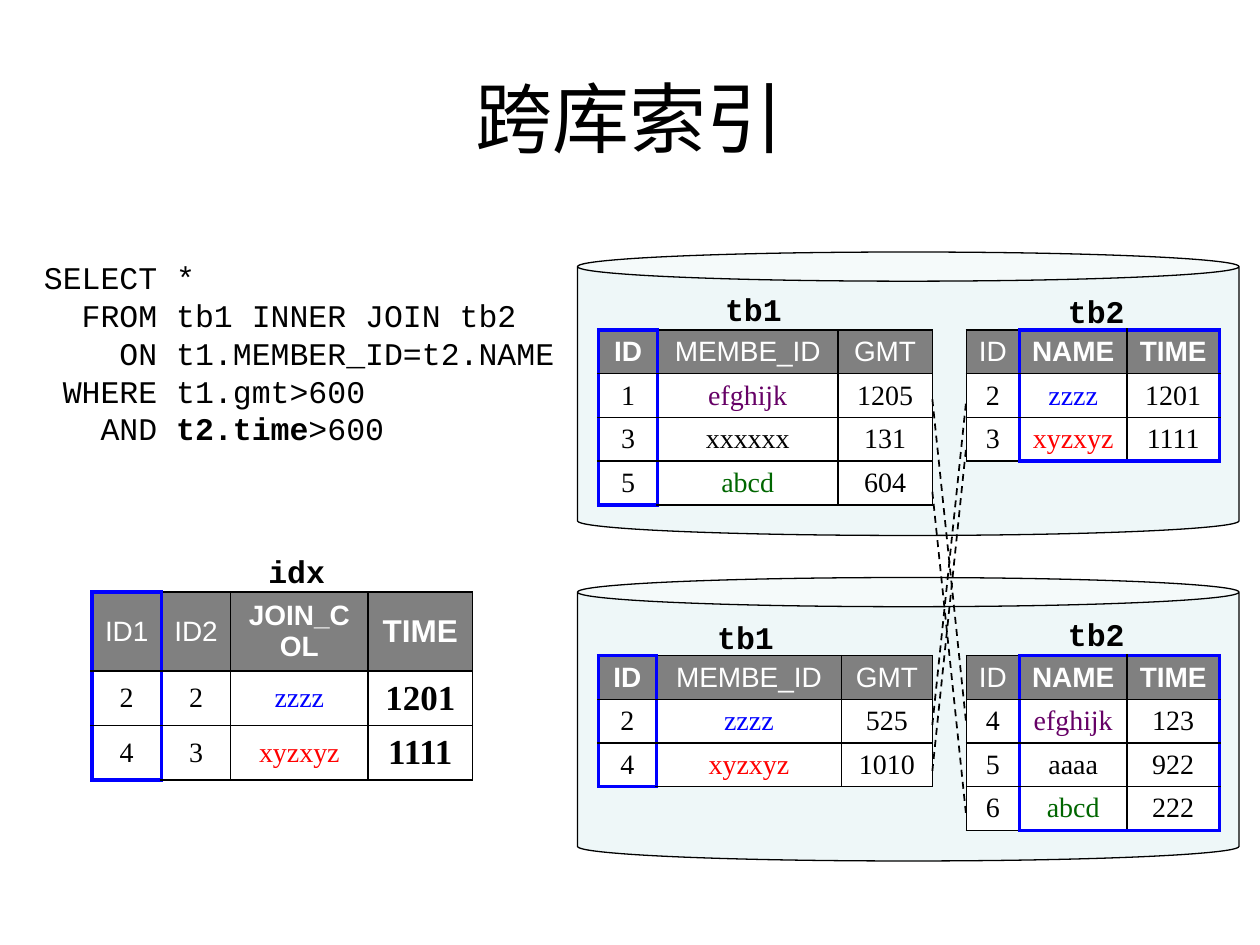
from lxml import etree
from pptx import Presentation
from pptx.dml.color import RGBColor
from pptx.enum import dml, shapes, text
from pptx.oxml import ns
from pptx.util import Pt

COLORS = {
    "black": "000000", "white": "FFFFFF", "header": "808080",
    "blue": "0000FF", "red": "FF0000", "purple": "660066",
    "green": "006600", "database": "BBE0E3",
}
# Matching join keys share a colour in every table
KEY_COLORS = {"zzzz": "blue", "xyzxyz": "red", "efghijk": "purple", "abcd": "green"}
ROW_HEIGHT = 25
LINK_PITCH = 26.4
TABLE_OFFSET = 44.6
TB1_LEFT, TB1_RIGHT, TB2_LEFT = 342, 532.8, 552.2


def rgb(name):
    return RGBColor.from_string(COLORS[name])


def style_run(run, size, font_name, color="black", bold=False):
    run.font.size = Pt(size)
    run.font.name = font_name
    run.font.bold = bold
    run.font.color.rgb = rgb(color)


def add_code_box(slide, box, content, bold=False, align=text.PP_ALIGN.LEFT):
    text_frame = slide.shapes.add_textbox(*map(Pt, box)).text_frame
    text_frame.word_wrap = True
    paragraph = text_frame.paragraphs[0]
    paragraph.text = content
    paragraph.alignment = align
    paragraph.line_spacing = Pt(21.6)
    paragraph.space_before = Pt(2)
    for run in paragraph.runs:
        style_run(run, 18, "Courier New", bold=bold)
    return paragraph


def add_label(slide, box, content):
    add_code_box(slide, box, content, True, text.PP_ALIGN.CENTER)


def add_border(cell, side, highlighted):
    width, color = (2.25, "blue") if highlighted else (1, "black")
    properties = cell._tc.get_or_add_tcPr()
    line = etree.SubElement(properties, ns.qn(f"a:ln{side}"), w=str(int(Pt(width))))
    fill = etree.SubElement(line, ns.qn("a:solidFill"))
    etree.SubElement(fill, ns.qn("a:srgbClr"), val=COLORS[color])


def add_grid(slide, left, top, widths, heights, rows, key, bold_headers, big_column=None):
    """Add a table; key is the (first, end) column range framed in blue."""
    table = slide.shapes.add_table(
        len(rows), len(widths), Pt(left), Pt(top), Pt(sum(widths)), Pt(sum(heights))
    ).table
    for column, width in zip(table.columns, widths):
        column.width = Pt(width)
    for row, height in zip(table.rows, heights):
        row.height = Pt(height)

    for r, values in enumerate(rows):
        for c, value in enumerate(values):
            cell = table.cell(r, c)
            in_key = key[0] <= c < key[1]
            add_border(cell, "L", c in key)
            add_border(cell, "R", c + 1 in key)
            add_border(cell, "T", in_key and r == 0)
            add_border(cell, "B", in_key and r == len(rows) - 1)
            cell.fill.solid()
            cell.fill.fore_color.rgb = rgb("white" if r else "header")
            cell.margin_left = cell.margin_right = Pt(5)
            cell.margin_top = cell.margin_bottom = Pt(2)
            cell.vertical_anchor = text.MSO_ANCHOR.MIDDLE
            paragraph = cell.text_frame.paragraphs[0]
            paragraph.text = value
            paragraph.alignment = text.PP_ALIGN.CENTER
            big = c == big_column
            if r == 0:
                style_run(paragraph.runs[0], 18 if big else 16, "Arial", "white",
                          value in bold_headers)
            else:
                style_run(paragraph.runs[0], 20 if big else 16, "Times New Roman",
                          KEY_COLORS.get(value, "black"), big)


def add_database(slide, top, tb1_widths, tb1_rows, tb2_rows, tb1_label, tb2_label):
    """Add a cylinder with its two tables; label places are offsets in the cylinder."""
    left = 330
    can = slide.shapes.add_shape(shapes.MSO_SHAPE.CAN, Pt(left), Pt(top), Pt(378), Pt(162))
    can.adjustments[0] = 0.103
    can.shadow.inherit = False
    can.fill.solid()
    can.fill.fore_color.rgb = rgb("database")
    fill_color = can.fill._xPr.find(".//" + ns.qn("a:srgbClr"))
    etree.SubElement(fill_color, ns.qn("a:alpha"), val="24000")
    can.line.color.rgb = rgb("black")
    can.line.width = Pt(0.75)

    table_top = top + TABLE_OFFSET
    add_grid(slide, TB1_LEFT, table_top, tb1_widths, [ROW_HEIGHT] * len(tb1_rows),
             tb1_rows, (0, 1), {"ID"})
    add_grid(slide, TB2_LEFT, table_top, [30.4, 61.4, 52.8], [ROW_HEIGHT] * len(tb2_rows),
             tb2_rows, (1, 3), {"NAME", "TIME"})
    for name, (x, y) in (("tb1", tb1_label), ("tb2", tb2_label)):
        add_label(slide, (left + x, top + y, 60, 29), name)


def add_link(slide, from_top, to_top, row):
    """Add a dashed line from a row of tb1 to the matching row of tb2."""
    offset = TABLE_OFFSET + LINK_PITCH * (row + 0.5)
    connector = slide.shapes.add_connector(
        shapes.MSO_CONNECTOR.STRAIGHT,
        Pt(TB1_RIGHT), Pt(from_top + offset), Pt(TB2_LEFT), Pt(to_top + offset))
    connector.line.color.rgb = rgb("black")
    connector.line.width = Pt(1)
    connector.line.dash_style = dml.MSO_LINE.DASH
    etree.SubElement(connector._element.spPr, ns.qn("a:effectLst"))


def add_title(slide, box, content):
    title = slide.shapes.title
    title.left, title.top, title.width, title.height = map(Pt, box)
    title.text_frame.text = content
    title.text_frame.vertical_anchor = text.MSO_ANCHOR.MIDDLE
    paragraph = title.text_frame.paragraphs[0]
    paragraph.alignment = text.PP_ALIGN.CENTER
    style_run(paragraph.runs[0], 44, "Arial")


def add_query(slide, box):
    lines = [
        "SELECT *",
        "  FROM tb1 INNER JOIN tb2",
        "    ON t1.MEMBER_ID=t2.NAME",
        " WHERE t1.gmt>600",
        "   AND ",
    ]
    paragraph = add_code_box(slide, box, "\v".join(lines))
    for content, bold in (("t2.time", True), (">600", False)):
        run = paragraph.add_run()
        run.text = content
        style_run(run, 18, "Courier New", bold=bold)


def add_index(slide, left, top):
    rows = [("ID1", "ID2", "JOIN_COL", "TIME"),
            ("2", "2", "zzzz", "1201"),
            ("4", "3", "xyzxyz", "1111")]
    add_grid(slide, left, top, [39.6, 39.6, 78.5, 59.8], [45, 31.2, 31.2], rows,
             (0, 1), {"JOIN_COL", "TIME"}, big_column=3)
    add_label(slide, (left + 60, top - 26.6, 113.8, 29), "idx")


def main():
    presentation = Presentation()
    presentation.slide_width, presentation.slide_height = Pt(720), Pt(540)
    slide = presentation.slides.add_slide(presentation.slide_layouts[5])
    add_title(slide, (36, 21.6, 648, 90), "跨库索引")

    # Two databases
    upper, lower = 144, 330
    tb1_header, tb2_header = ("ID", "MEMBE_ID", "GMT"), ("ID", "NAME", "TIME")
    add_database(
        slide, lower, [33.1, 105.8, 51.9],
        [tb1_header, ("2", "zzzz", "525"), ("4", "xyzxyz", "1010")],
        [tb2_header, ("4", "efghijk", "123"), ("5", "aaaa", "922"), ("6", "abcd", "222")],
        (66, 19.4), (266.4, 18))
    add_database(
        slide, upper, [33.8, 103, 54],
        [tb1_header, ("1", "efghijk", "1205"), ("3", "xxxxxx", "131"), ("5", "abcd", "604")],
        [tb2_header, ("2", "zzzz", "1201"), ("3", "xyzxyz", "1111")],
        (70.5, 18), (266.4, 19.4))

    # Links between matching rows
    for from_top, to_top, row in ((upper, lower, 1), (upper, lower, 3),
                                  (lower, upper, 1), (lower, upper, 2)):
        add_link(slide, from_top, to_top, row)

    # Query and cross-database index
    add_query(slide, (18, 144, 324, 115))
    add_index(slide, 52.6, 338.4)
    presentation.save("out.pptx")


if __name__ == "__main__":
    main()
